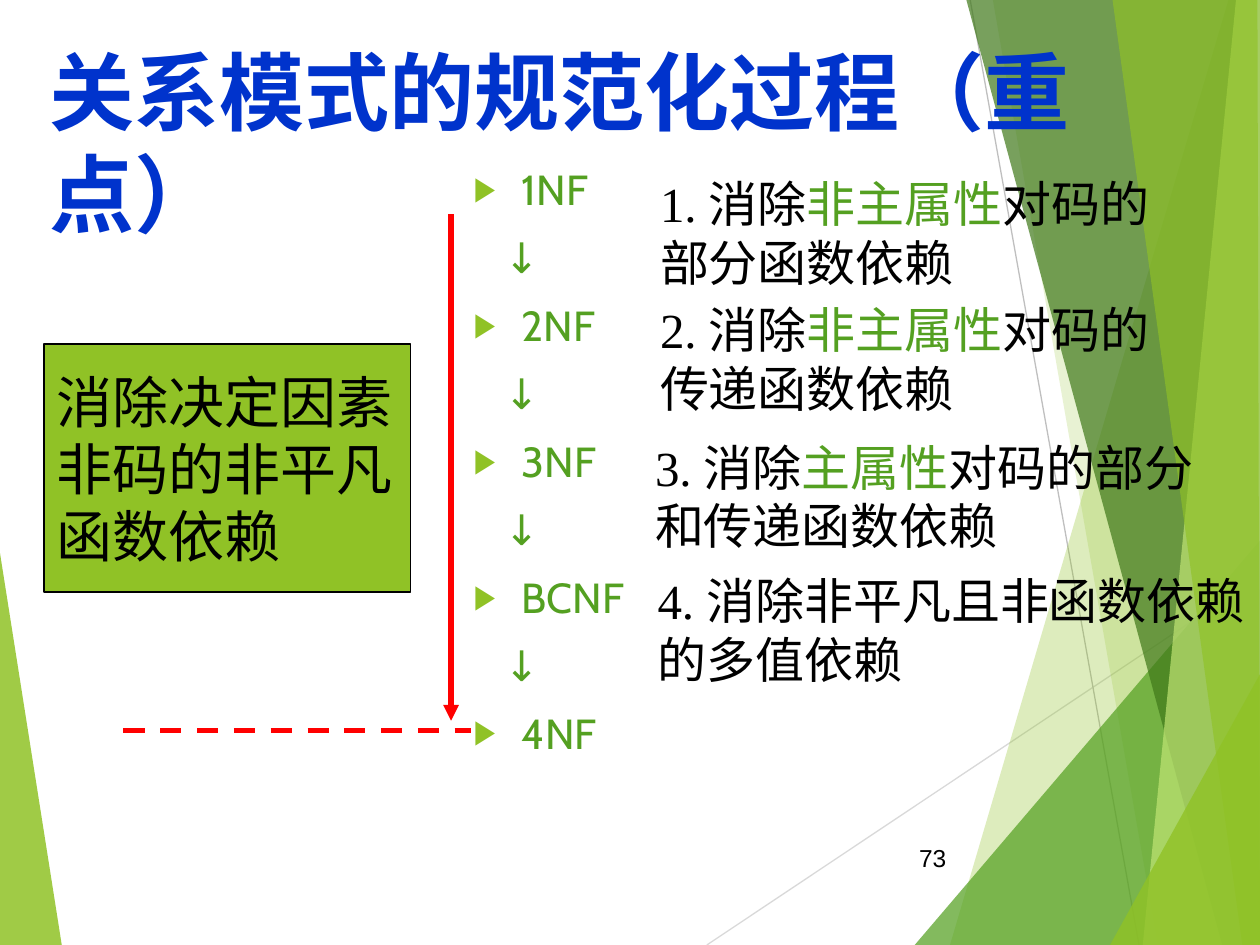
import pptx
import pptx.dml.color
import pptx.enum.dml
import pptx.enum.shapes
import pptx.enum.text
import pptx.oxml
import pptx.oxml.ns
import pptx.util
from lxml import etree

Inches = pptx.util.Inches
Pt = pptx.util.Pt
RGBColor = pptx.dml.color.RGBColor
ANCHOR = pptx.enum.text.MSO_ANCHOR
ALIGN = pptx.enum.text.PP_ALIGN
qn = pptx.oxml.ns.qn

BLUE = RGBColor(0x00, 0x33, 0xCC)
LIME = RGBColor(0x90, 0xC2, 0x26)
GREEN = RGBColor(0x54, 0xA0, 0x21)
DARK_GREEN = RGBColor(0x3F, 0x78, 0x19)
PALE_GREEN = RGBColor(0xC0, 0xE4, 0x74)
LIGHT_GRAY = RGBColor(0xD9, 0xD9, 0xD9)
GRAY = RGBColor(0xBF, 0xBF, 0xBF)
RED = RGBColor(0xFF, 0x00, 0x00)
BLACK = RGBColor(0x00, 0x00, 0x00)

LEFT_FACET = ([(0, 4.39), (0.49, 7.5), (0, 7.5)], LIME, 85)
RIGHT_FACETS = [
    ([(9.75, 0), (7.54, 7.5), (10, 7.5), (10, 0)], LIME, 30),
    ([(7.88, 0), (9.19, 7.5), (10, 7.5), (10, 0)], LIME, 20),
    ([(7.26, 7.5), (10, 4.29), (10, 7.5)], GREEN, 72),
    ([(7.67, 0), (9.7, 7.5), (10, 7.5), (10, 0)], DARK_GREEN, 70),
    ([(9.81, 0), (9.07, 7.5), (10, 7.5), (10, 0)], PALE_GREEN, 70),
    ([(8.83, 0), (9.86, 7.5), (10, 7.5), (9.98, 0)], LIME, 65),
    ([(8.81, 7.5), (10, 5.35), (10, 7.5)], LIME, 80),
]
NORMAL_FORMS = ["1NF", "2NF", "3NF", "BCNF", "4NF"]
STEPS = [
    (5.14, 1.33, 4.33, [("1. 消除", BLACK), ("非主属性", GREEN), ("对码的部分函数依赖", BLACK)]),
    (5.14, 2.33, 4.33, [("2. 消除", BLACK), ("非主属性", GREEN), ("对码的传递函数依赖", BLACK)]),
    (5.1, 3.42, 4.65, [("3. 消除", BLACK), ("主属性", GREEN), ("对码的部分和传递函数依赖", BLACK)]),
    (5.12, 4.48, 4.88, [("4. 消除非平凡且非函数依赖的多值依赖", BLACK)]),
]


def set_font(paragraph, name, size, color=None):
    paragraph.font.name = name
    paragraph.font.size = Pt(size)
    if color is not None:
        paragraph.font.color.rgb = color


def add_facet(slide, points, color, opacity):
    corners = [(Inches(x), Inches(y)) for x, y in points]
    builder = slide.shapes.build_freeform(*corners[0])
    builder.add_line_segments(corners[1:], close=True)
    shape = builder.convert_to_shape()
    shape.shadow.inherit = False
    shape.fill.solid()
    shape.fill.fore_color.rgb = color
    shape.line.fill.background()
    color_element = shape.element.spPr.find(qn("a:solidFill"))[0]
    etree.SubElement(color_element, qn("a:alpha"), val=str(opacity * 1000))


def add_line(slide, start, end, color, width):
    connector = slide.shapes.add_connector(
        pptx.enum.shapes.MSO_CONNECTOR.STRAIGHT, *map(Inches, start + end))
    connector.line.color.rgb = color
    connector.line.width = Pt(width)
    etree.SubElement(connector.element.spPr, qn("a:effectLst"))
    return connector


def add_text_box(slide, left, top, width, height):
    box = slide.shapes.add_textbox(*map(Inches, (left, top, width, height)))
    box.text_frame.word_wrap = True
    return box.text_frame


def place_placeholder(placeholder, left, top, width, height):
    placeholder.left, placeholder.top = Inches(left), Inches(top)
    placeholder.width, placeholder.height = Inches(width), Inches(height)
    placeholder.element.getparent().append(placeholder.element)
    frame = placeholder.text_frame
    frame.word_wrap = True
    frame.auto_size = pptx.enum.text.MSO_AUTO_SIZE.NONE
    frame.vertical_anchor = ANCHOR.TOP
    return frame


def set_bullet(paragraph):
    properties = paragraph._p.get_or_add_pPr()
    properties.set("marL", str(Inches(0.38)))
    properties.set("indent", str(Inches(-0.38)))
    bullet_color = etree.SubElement(properties, qn("a:buClr"))
    etree.SubElement(bullet_color, qn("a:srgbClr"), val=str(LIME))
    etree.SubElement(properties, qn("a:buSzPct"), val="80000")
    etree.SubElement(properties, qn("a:buChar"), char="▶")


def set_plain_indent(paragraph):
    properties = paragraph._p.get_or_add_pPr()
    properties.set("marL", str(Inches(0.24)))
    properties.set("indent", "0")
    etree.SubElement(properties, qn("a:buNone"))


def fill_title(slide):
    frame = place_placeholder(slide.shapes.title, 0.29, 0.26, 9.39, 1.44)
    paragraph = frame.paragraphs[0]
    paragraph.text = "关系模式的规范化过程（重点）"
    paragraph.alignment = ALIGN.LEFT
    set_font(paragraph, "Cabin", 48.6, BLUE)
    paragraph.font.bold = True


def fill_normal_forms(slide):
    frame = place_placeholder(slide.placeholders[1], 3.66, 1.25, 2.05, 5.9)
    frame.text = "\n↓\n".join(NORMAL_FORMS)
    for index, paragraph in enumerate(frame.paragraphs):
        if index % 2:
            set_plain_indent(paragraph)
        else:
            set_bullet(paragraph)
        paragraph.space_before = Pt(10 if index else 0)
        set_font(paragraph, "Cabin", 24, GREEN)


def add_step(slide, left, top, width, parts):
    paragraph = add_text_box(slide, left, top, width, 1.04).paragraphs[0]
    set_font(paragraph, "Times New Roman", 28)
    for text, color in parts:
        run = paragraph.add_run()
        run.text = text
        run.font.color.rgb = color


def add_page_number(slide):
    frame = add_text_box(slide, 7.05, 6.61, 0.56, 0.4)
    frame.vertical_anchor = ANCHOR.MIDDLE
    paragraph = frame.paragraphs[0]
    paragraph.text = "73"
    paragraph.alignment = ALIGN.RIGHT
    set_font(paragraph, "Arial", 14, BLACK)


def add_summary_box(slide):
    shape = slide.shapes.add_shape(
        pptx.enum.shapes.MSO_SHAPE.RECTANGLE, *map(Inches, (0.35, 2.73, 2.91, 1.97)))
    shape.shadow.inherit = False
    shape.fill.solid()
    shape.fill.fore_color.rgb = LIME
    shape.line.color.rgb = BLACK
    shape.line.width = Pt(0.75)
    shape.text_frame.word_wrap = True
    shape.text_frame.vertical_anchor = ANCHOR.MIDDLE
    paragraph = shape.text_frame.paragraphs[0]
    paragraph.text = "消除决定因素非码的非平凡函数依赖"
    paragraph.alignment = ALIGN.LEFT
    set_font(paragraph, "Times New Roman", 32, BLACK)


def main():
    presentation = pptx.Presentation()
    presentation.slide_width = Inches(10)
    presentation.slide_height = Inches(7.5)
    slide = presentation.slides.add_slide(presentation.slide_layouts[1])

    add_facet(slide, *LEFT_FACET)
    add_line(slide, (5.61, 7.5), (10, 4.57), LIGHT_GRAY, 0.75)
    add_line(slide, (7.7, 0), (9.04, 7.5), GRAY, 0.75)
    for facet in RIGHT_FACETS:
        add_facet(slide, *facet)

    fill_title(slide)
    fill_normal_forms(slide)
    add_page_number(slide)
    for step in STEPS:
        add_step(slide, *step)
    add_summary_box(slide)

    boundary = add_line(slide, (0.98, 5.8), (3.74, 5.8), RED, 3)
    boundary.line.dash_style = pptx.enum.dml.MSO_LINE.DASH
    arrow = add_line(slide, (3.58, 1.7), (3.58, 5.72), RED, 3)
    etree.SubElement(arrow.line._get_or_add_ln(), qn("a:tailEnd"), type="triangle")

    presentation.save("out.pptx")


if __name__ == "__main__":
    main()
